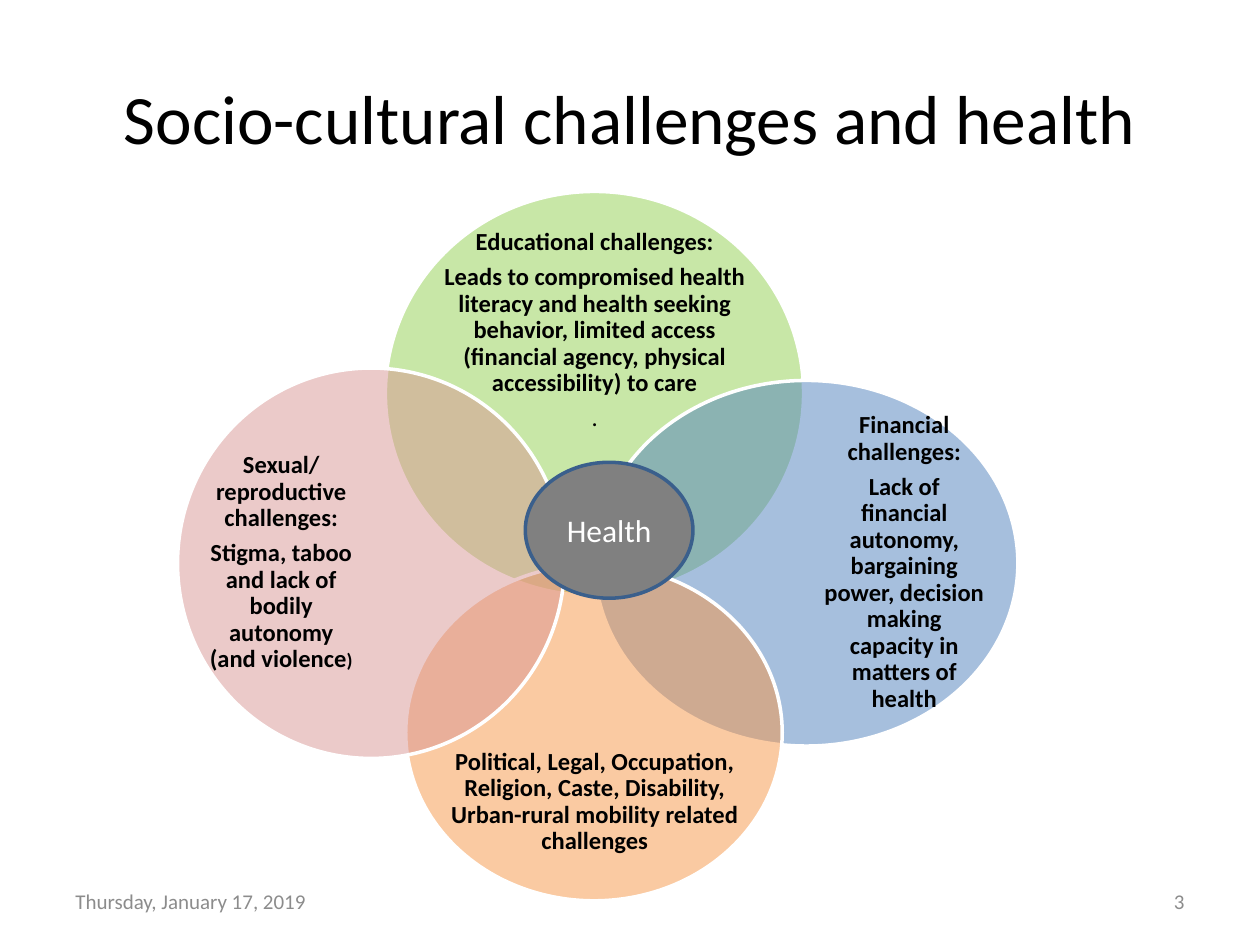
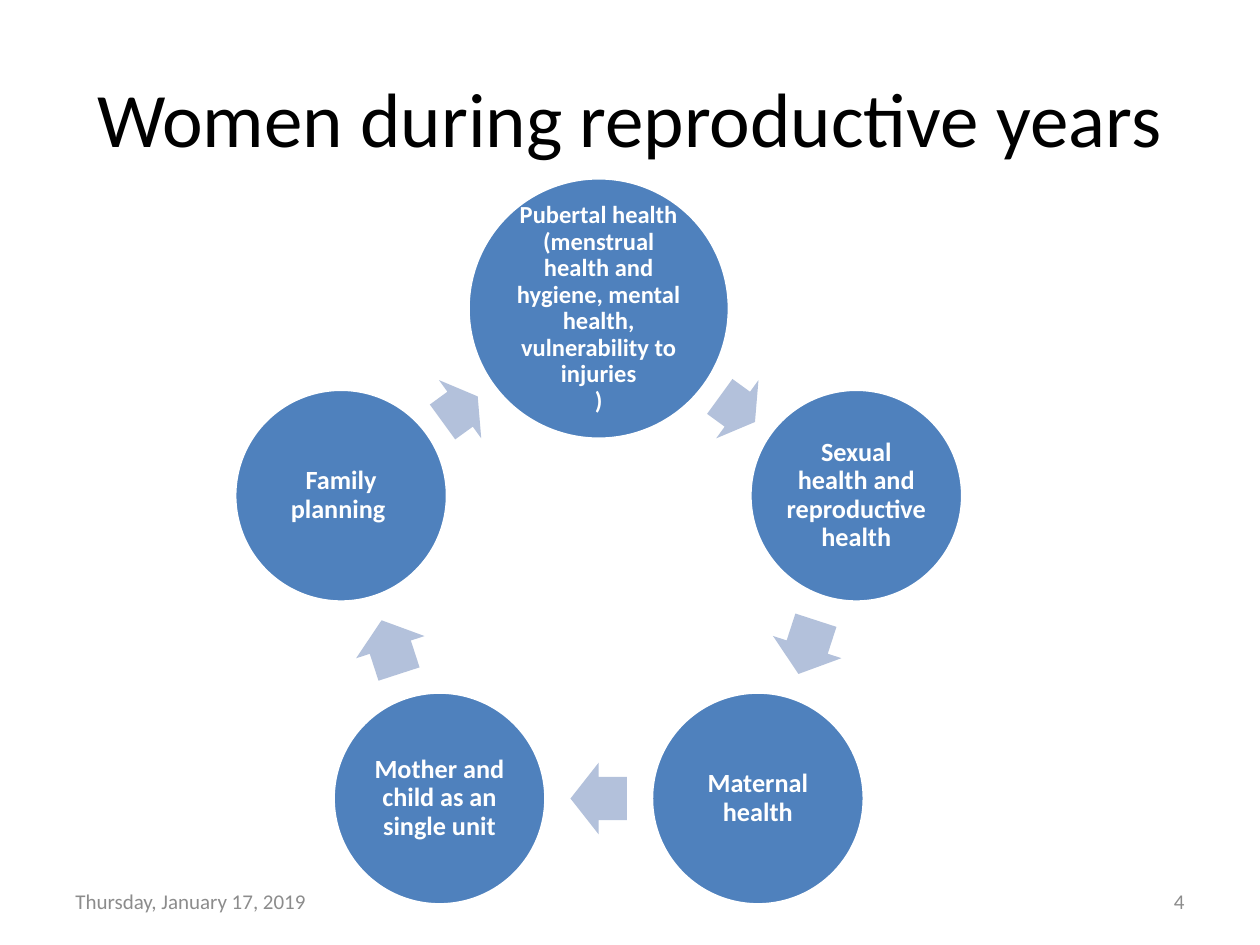
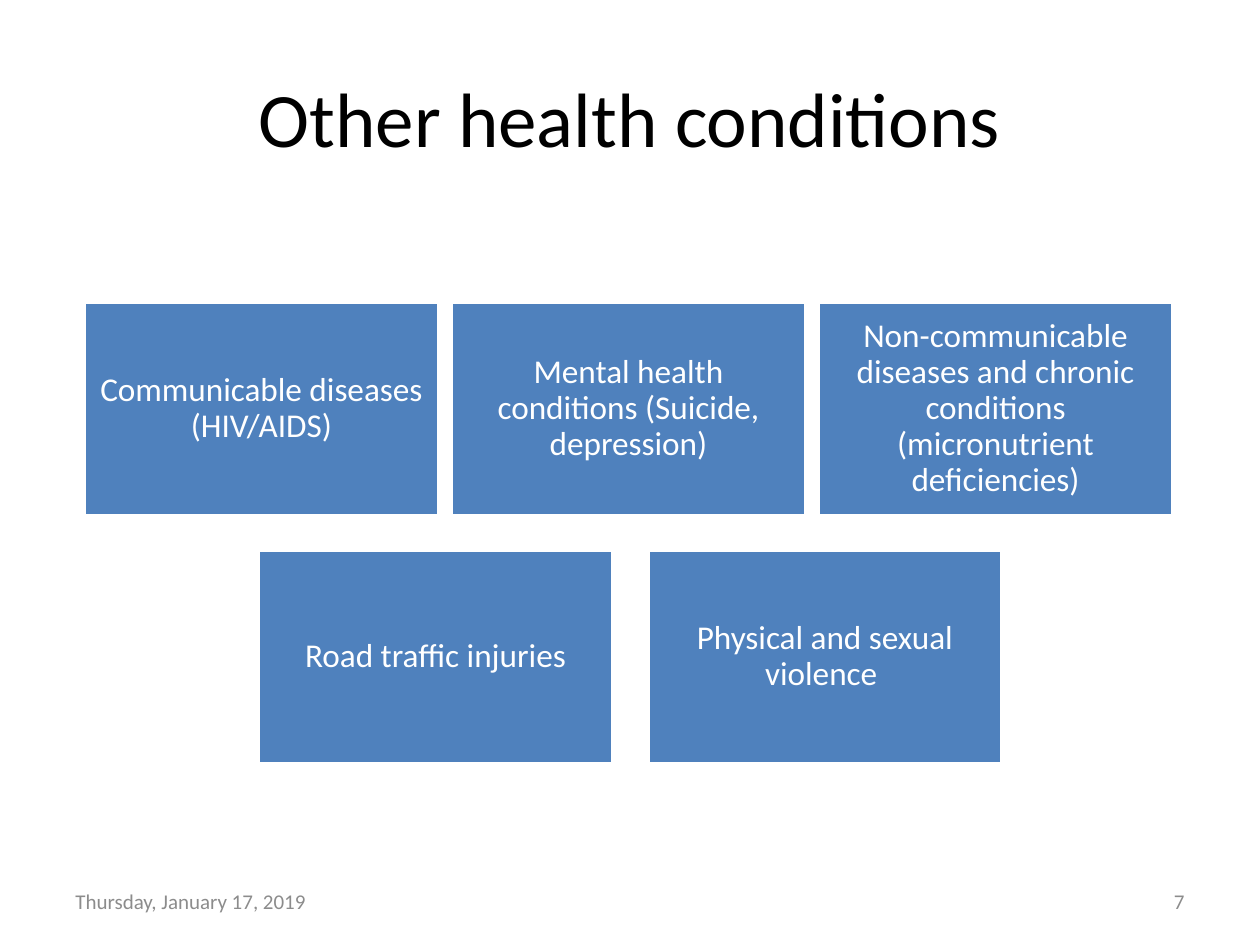
import math

from lxml import etree
from pptx import Presentation
from pptx.dml.color import RGBColor
from pptx.enum.shapes import MSO_SHAPE
from pptx.enum.text import MSO_ANCHOR, PP_ALIGN
from pptx.oxml.ns import qn
from pptx.util import Cm, Pt

OVAL, RECTANGLE, ARROW = MSO_SHAPE.OVAL, MSO_SHAPE.RECTANGLE, MSO_SHAPE.RIGHT_ARROW
LEFT, CENTER, RIGHT = PP_ALIGN.LEFT, PP_ALIGN.CENTER, PP_ALIGN.RIGHT
MIDDLE = MSO_ANCHOR.MIDDLE

FONT = "Calibri"
BLACK = RGBColor(0x00, 0x00, 0x00)
WHITE = RGBColor(0xFF, 0xFF, 0xFF)
FOOTER_GRAY = RGBColor(0x8C, 0x8C, 0x8C)
HUB_GRAY = RGBColor(0x80, 0x80, 0x80)
HUB_LINE = RGBColor(0x3A, 0x5F, 0x8C)
BLUE = RGBColor(0x4F, 0x81, 0xBD)
PALE_BLUE = RGBColor(0xB3, 0xC1, 0xDB)
GREEN = RGBColor(0x92, 0xD0, 0x50)
ORANGE = RGBColor(0xF7, 0x96, 0x46)
ROSE = RGBColor(0xD9, 0x96, 0x94)

# Shared frame, in centimetres: left, top, width, height
TITLE_BOX = (1.27, 0.76, 22.86, 3.18)
DATE_BOX = (1.27, 17.65, 5.93, 1.02)
NUMBER_BOX = (18.2, 17.65, 5.93, 1.02)
DATE = "Thursday, January 17, 2019"

# Overlapping challenges: colour, circle box, text box, paragraphs of (text, size, bold) runs
CHALLENGES = [
    (GREEN, (7.77, 3.86, 8.43, 8.15), (8.74, 4.57, 6.5, 4.2), [
        [("Educational challenges:", 14, True)],
        [("Leads to compromised health literacy and health seeking behavior, "
          "limited access (financial agency, physical accessibility) to care", 14, True)],
        [(".", 14, False)],
    ]),
    (BLUE, (11.99, 7.67, 8.53, 7.37), (16.59, 8.51, 3.28, 5.66), [
        [("Financial challenges:", 14, True)],
        [("Lack of financial autonomy, bargaining power, decision making capacity "
          "in matters of health", 14, True)],
    ]),
    (ORANGE, (8.18, 11.38, 7.59, 6.78), (9.07, 15.09, 5.84, 2.16), [
        [("Political, Legal, Occupation, Religion, Caste, Disability, "
          "Urban-rural mobility related challenges", 14, True)],
    ]),
    (ROSE, (3.58, 7.42, 7.8, 7.87), (4.17, 8.31, 3.0, 6.07), [
        [("Sexual/reproductive challenges:", 14, True)],
        [("Stigma, taboo and lack of bodily autonomy (and violence", 14, True),
         (")", 11, True)],
    ]),
]
HUB_BOX = (10.59, 9.32, 3.38, 2.74)

# Life stages, clockwise from the top: text, size, circle diameter
STAGES = [
    ("Pubertal health (menstrual health and hygiene, mental health, "
     "vulnerability to injuries\n)", 14, 5.27),
    ("Sexual health and reproductive health", 15, 4.29),
    ("Maternal health", 15, 4.29),
    ("Mother and child as an single unit", 15, 4.29),
    ("Family planning ", 15, 4.29),
]
RING_CENTER = (12.07, 11.68)
RING_RADIUS = 5.46
ARROW_WIDTH = 1.45
ARROW_SHARE = 0.535  # part of the gap between two circles

# Rows of condition cards: left, top, distance between lefts, labels
CARD_WIDTH, CARD_HEIGHT = 7.14, 4.29
CONDITION_ROWS = [
    (1.7, 6.1, 7.4, [
        "Communicable diseases (HIV/AIDS)",
        "Mental health conditions (Suicide, depression)",
        "Non-communicable diseases and chronic conditions (micronutrient deficiencies)",
    ]),
    (5.21, 11.1, 7.85, ["Road traffic injuries", "Physical and sexual violence "]),
]


def write(shape, paragraphs, color, align=CENTER, inset=None, tight=True):
    """Fill a shape with paragraphs, each a list of (text, size, bold) runs."""
    frame = shape.text_frame
    frame.word_wrap = True
    frame.vertical_anchor = MIDDLE
    if inset is not None:
        frame.margin_left = frame.margin_right = Cm(inset)
        frame.margin_top = frame.margin_bottom = Cm(inset)
    for index, runs in enumerate(paragraphs):
        paragraph = frame.add_paragraph() if index else frame.paragraphs[0]
        paragraph.alignment = align
        if tight:
            paragraph.line_spacing = 0.9
            paragraph.space_after = Pt(0.35 * runs[0][1])
        for text, size, bold in runs:
            for line_index, line in enumerate(text.split("\n")):
                if line_index:
                    paragraph.add_line_break()
                run = paragraph.add_run()
                run.text = line
                run.font.name = FONT
                run.font.size = Pt(size)
                run.font.bold = bold
                run.font.color.rgb = color


def add_text(slide, box, paragraphs, color, **options):
    shape = slide.shapes.add_textbox(*map(Cm, box))
    write(shape, paragraphs, color, **options)


def add_shape(slide, kind, box, fill, line=WHITE, opacity=None):
    shape = slide.shapes.add_shape(kind, *map(Cm, box))
    shape.shadow.inherit = False
    shape.fill.solid()
    shape.fill.fore_color.rgb = fill
    if opacity is not None:
        color_element = shape.fill._xPr.find(qn("a:solidFill"))[0]
        etree.SubElement(color_element, qn("a:alpha"), val=str(opacity * 1000))
    if line is None:
        shape.line.fill.background()
    else:
        shape.line.color.rgb = line
        shape.line.width = Pt(2)
    return shape


def centered(center, width, height):
    return center[0] - width / 2, center[1] - height / 2, width, height


def add_slide(presentation, title, number, title_size=44):
    slide = presentation.slides.add_slide(presentation.slide_layouts[6])
    add_text(slide, TITLE_BOX, [[(title, title_size, False)]], BLACK, tight=False)
    for box, text, align in [(DATE_BOX, DATE, LEFT), (NUMBER_BOX, str(number), RIGHT)]:
        add_text(slide, box, [[(text, 12, False)]], FOOTER_GRAY, align=align, tight=False)
    return slide


def build_challenges(presentation):
    slide = add_slide(presentation, "Socio-cultural challenges and health", 3, 39.6)
    for color, circle_box, text_box, paragraphs in CHALLENGES:
        add_shape(slide, OVAL, circle_box, color, opacity=50)
        add_text(slide, text_box, paragraphs, BLACK, inset=0)
    hub = add_shape(slide, OVAL, HUB_BOX, HUB_GRAY, HUB_LINE)
    write(hub, [[("Health", 18, False)]], WHITE, tight=False)


def build_life_cycle(presentation):
    slide = add_slide(presentation, "Women during reproductive years", 4)
    step = 360 / len(STAGES)
    centers = []
    for index in range(len(STAGES)):
        angle = math.radians(index * step)
        centers.append((RING_CENTER[0] + RING_RADIUS * math.sin(angle),
                        RING_CENTER[1] - RING_RADIUS * math.cos(angle)))
    for index, (text, size, diameter) in enumerate(STAGES):
        circle = add_shape(slide, OVAL, centered(centers[index], diameter, diameter), BLUE)
        write(circle, [[(text, size, True)]], WHITE, inset=0.05)

        # Arrow in the middle of the gap to the next circle
        following = (index + 1) % len(STAGES)
        start, end = centers[index], centers[following]
        distance = math.dist(start, end)
        gap = distance - (diameter + STAGES[following][2]) / 2
        share = (diameter / 2 + gap / 2) / distance
        middle = [a + (b - a) * share for a, b in zip(start, end)]
        arrow_box = centered(middle, gap * ARROW_SHARE, ARROW_WIDTH)
        arrow = add_shape(slide, ARROW, arrow_box, PALE_BLUE, line=None)
        arrow.adjustments[0] = 0.6
        arrow.adjustments[1] = 0.5
        arrow.rotation = (index + 0.5) * step


def build_conditions(presentation):
    slide = add_slide(presentation, "Other health conditions", 7)
    for left, top, pitch, labels in CONDITION_ROWS:
        for column, label in enumerate(labels):
            box = (left + column * pitch, top, CARD_WIDTH, CARD_HEIGHT)
            card = add_shape(slide, RECTANGLE, box, BLUE)
            write(card, [[(label, 19, False)]], WHITE, inset=0.2)


def main():
    presentation = Presentation()
    presentation.slide_width, presentation.slide_height = Cm(25.4), Cm(19.05)
    build_challenges(presentation)
    build_life_cycle(presentation)
    build_conditions(presentation)
    presentation.save("out.pptx")


if __name__ == "__main__":
    main()
